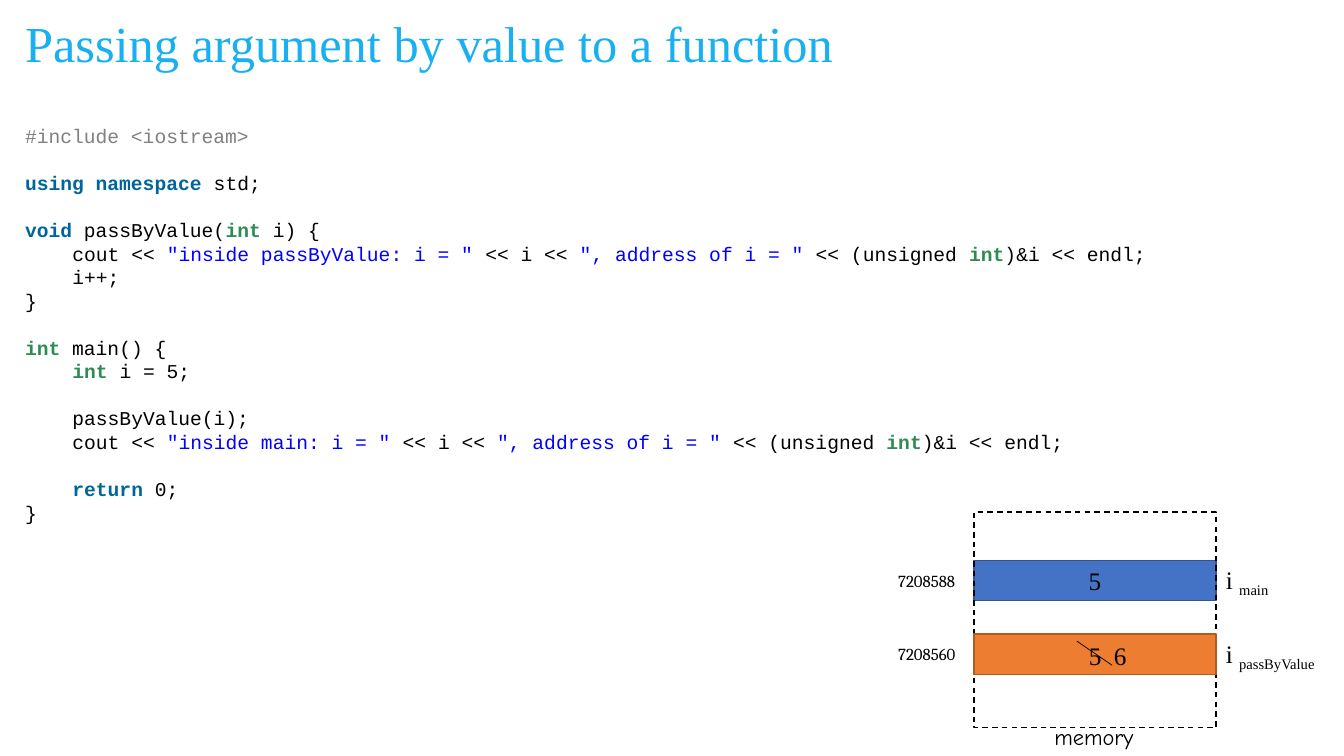
from lxml import etree
from pptx import Presentation, util as u
from pptx.dml.color import RGBColor
from pptx.enum import dml, shapes, text
from pptx.oxml.ns import qn

SERIF = "Times New Roman"
BLACK = "000000"
KEY, TYPE = "006699", "2E8B57"
WORDS = {"using namespace": KEY, "void": KEY, "return": KEY, "int": TYPE}

# Each block is set off by a gap; each line is (indent level, runs split by "|").
CODE = [
    [(0, "#include <iostream>")],
    [(0, "using namespace| std;")],
    [(0, "void| passByValue(|int| i) {"),
     (1, 'cout << |"inside passByValue: i = "| << i << |", address of i = "'
         '| << (unsigned |int|)&i << endl;'),
     (1, "i++;"),
     (0, "}")],
    [(0, "int| main() {"),
     (1, "int| i = 5;")],
    [(1, "passByValue(i);"),
     (1, 'cout << |"inside main: i = "| << i << |", address of i = "'
         '| << (unsigned |int|)&i << endl;')],
    [(1, "return| 0;"),
     (0, "}")],
]


def rgb(code):
    return RGBColor.from_string(code)


def write(para, words, size=18, font=SERIF, color=BLACK, bold=False, sub=False):
    run = para.add_run()
    run.text = words
    face = run.font
    face.size, face.name, face.bold = u.Pt(size), font, bold
    face.color.rgb = rgb(color)
    if sub:
        run._r.get_or_add_rPr().set("baseline", "-25000")


def tint(piece):
    """Return the colour of one piece of code."""
    if piece.startswith("#"):
        return "808080"
    if piece.startswith('"'):
        return "0000FF"
    return WORDS.get(piece, BLACK)


class Page:
    def __init__(self, slide):
        self.items = slide.shapes

    def label(self, x, y, w, h, words="", wrap=False, grow=True, **style):
        """Add a text box and return its text frame."""
        frame = self.items.add_textbox(*map(u.Inches, (x, y, w, h))).text_frame
        frame.word_wrap = wrap
        kind = text.MSO_AUTO_SIZE
        frame.auto_size = kind.SHAPE_TO_FIT_TEXT if grow else kind.NONE
        if words:
            write(frame.paragraphs[0], words, **style)
        return frame

    def rect(self, x, y, w, h, fill=None, line=BLACK, dash=False):
        box = self.items.add_shape(shapes.MSO_SHAPE.RECTANGLE,
                                   *map(u.Inches, (x, y, w, h)))
        box.shadow.inherit = False
        if fill:
            box.fill.solid()
            box.fill.fore_color.rgb = rgb(fill)
        else:
            box.fill.background()
        box.line.color.rgb = rgb(line)
        box.line.width = u.Pt(1)
        if dash:
            box.line.dash_style = dml.MSO_LINE.DASH
        return box

    def line(self, *ends):
        link = self.items.add_connector(shapes.MSO_CONNECTOR.STRAIGHT,
                                        *map(u.Inches, ends))
        link.line.color.rgb = rgb(BLACK)
        link.line.width = u.Pt(0.5)
        etree.SubElement(link._element.spPr, qn("a:effectLst"))

    def code(self, x, y, w, h, blocks, pitch=16.8):
        frame = self.label(x, y, w, h, wrap=True)
        para = frame.paragraphs[0]
        for b, block in enumerate(blocks):
            for n, (level, line) in enumerate(block):
                if b or n:
                    para = frame.add_paragraph()
                para.line_spacing = u.Pt(pitch)
                if b and not n:
                    para.space_before = u.Pt(pitch)
                para._p.get_or_add_pPr().set("marL", str(u.Inches(0.47 * level)))
                for piece in line.split("|"):
                    write(para, piece, size=14, font="Courier New",
                          color=tint(piece), bold=piece in WORDS)

    def cell(self, y, spot, owner, width, fill, line):
        """Add a memory cell with its address and its variable name."""
        box = self.rect(9.66, y, 2.4, 0.4, fill, line)
        self.label(8.81, y + 0.05, 0.85, 0.3, spot, size=12, font="Cambria")
        name = self.label(12.06, y - 0.01, width, 0.4, "i ").paragraphs[0]
        write(name, owner, sub=True)
        return box


def main():
    deck = Presentation()
    deck.slide_width, deck.slide_height = u.Inches(13.33), u.Inches(7.5)
    page = Page(deck.slides.add_slide(deck.slide_layouts[6]))

    title = page.label(0.15, 0.13, 11.29, 0.65,
                       "Passing argument by value to a function",
                       wrap=True, grow=False, size=36, color="18B0F0")
    title.vertical_anchor = text.MSO_ANCHOR.MIDDLE
    title.paragraphs[0].line_spacing = 0.9
    page.code(0.15, 1.18, 13.04, 4.11, CODE)

    outer = page.cell(5.56, "7208588", "main", 0.65, "4472C4", "325491")
    outer.text_frame.vertical_anchor = text.MSO_ANCHOR.MIDDLE
    value = outer.text_frame.paragraphs[0]
    value.alignment = text.PP_ALIGN.CENTER
    write(value, "5")

    page.rect(9.66, 5.08, 2.4, 2.14, dash=True)
    page.label(10.36, 7.13, 0.99, 0.37, "memory", size=16, font="Comic Neue")

    page.cell(6.29, "7208560", "passByValue", 1.14, "ED7D31", "AF5C24")
    page.label(10.7, 6.3, 0.32, 0.4, "5")
    page.line(10.68, 6.36, 11.03, 6.6)
    page.label(10.95, 6.3, 0.32, 0.4, "6")

    deck.save("out.pptx")


if __name__ == "__main__":
    main()
